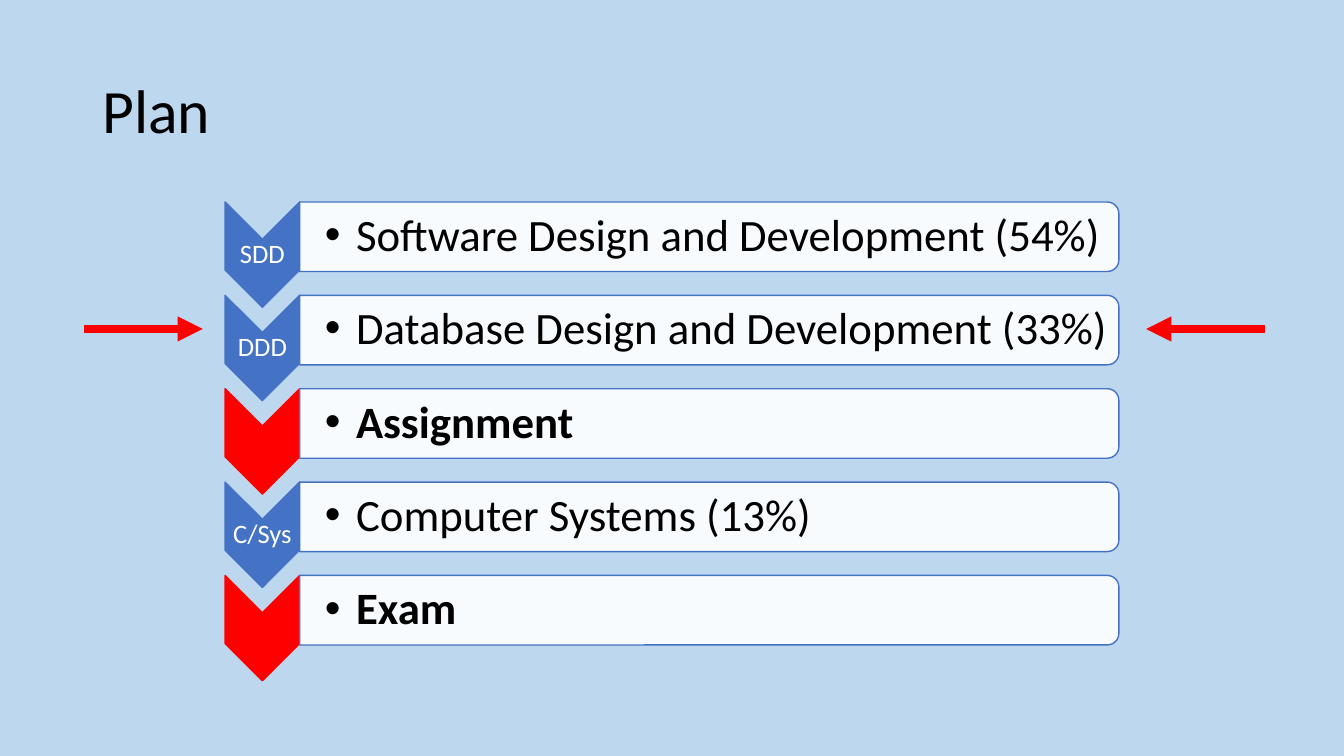
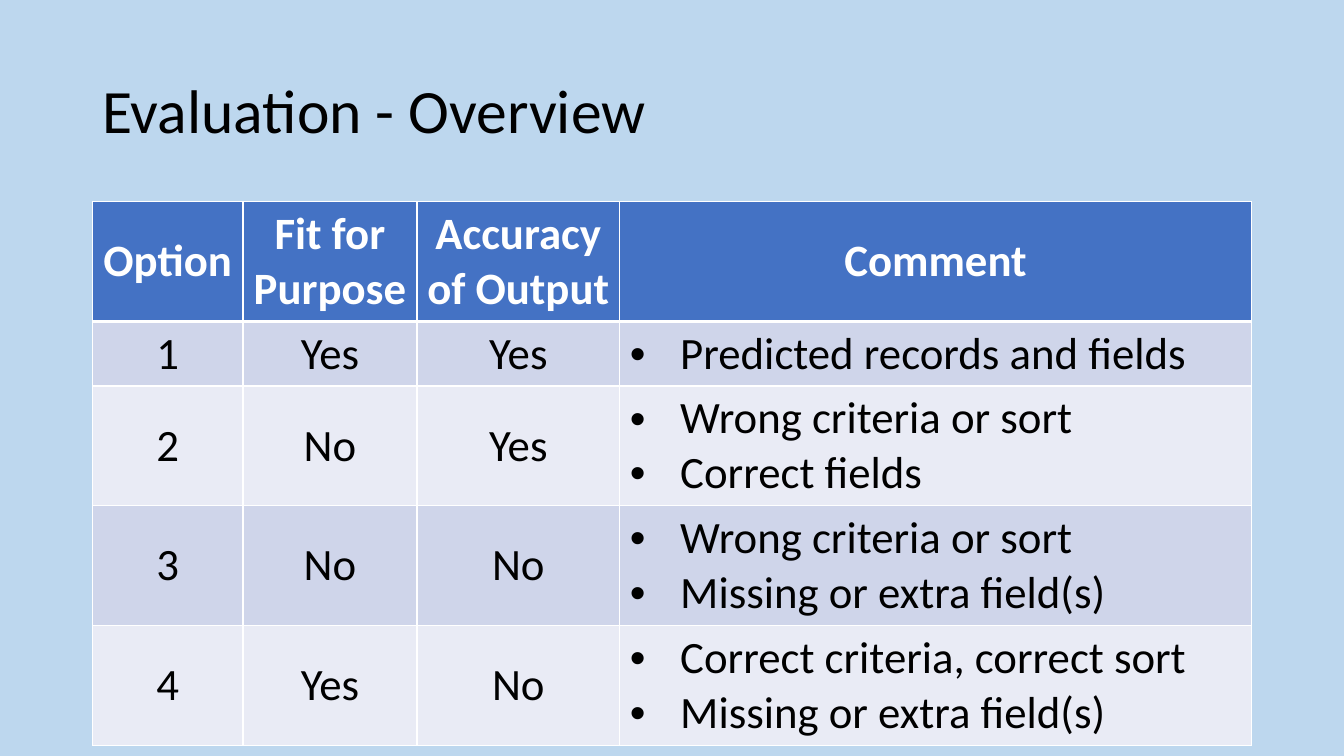
from lxml.etree import SubElement
from pptx import Presentation
from pptx.dml.color import RGBColor
from pptx.enum.shapes import MSO_CONNECTOR, MSO_SHAPE as Shape
from pptx.enum.text import MSO_ANCHOR as Anchor, PP_ALIGN as Align
from pptx.oxml import parse_xml
from pptx.oxml.ns import nsdecls, qn
from pptx.util import Emu, Inches, Pt

COLS, ROWS = 160, 90
UNIT = Inches(7.5) / ROWS
FONT = "Calibri"
SKY = RGBColor(0xBD, 0xD7, 0xEE)
BLUE = RGBColor(0x44, 0x72, 0xC4)
RED = RGBColor(0xFF, 0x00, 0x00)
WHITE = RGBColor(0xFF, 0xFF, 0xFF)
BLACK = RGBColor(0x00, 0x00, 0x00)
BANDS = (RGBColor(0xCF, 0xD5, 0xEA), RGBColor(0xE9, 0xEB, 0xF5))

TITLE_BOX = (11, 4.8, 138, 17.4)
PLAN_BOX = (26.8, 24.05, 106.4, 57)
TABLE_BOX = (11, 24, 138, 64.76)

TITLE = dict(size=Pt(44), color=BLACK)
LABEL = dict(size=Pt(19), color=WHITE)
BODY = dict(size=Pt(32), color=BLACK)
STRONG = dict(BODY, bold=True)
HEADER = dict(STRONG, color=WHITE)

STAGES = [
    ("SDD", "Software Design and Development (54%)"),
    ("DDD", "Database Design and Development (33%)"),
    (None, "Assignment"),
    ("C/Sys", "Computer Systems (13%)"),
    (None, "Exam"),
]
HEADINGS = ("Option", "Fit for Purpose", "Accuracy of Output", "Comment")
OPTIONS = [
    ("1", "Yes", "Yes", ["Predicted records and fields"]),
    ("2", "No", "Yes", ["Wrong criteria or sort", "Correct fields"]),
    ("3", "No", "No", ["Wrong criteria or sort", "Missing or extra field(s)"]),
    ("4", "Yes", "No", ["Correct criteria, correct sort", "Missing or extra field(s)"]),
]
COLUMN_SHARES = (0.13, 0.15, 0.175, 0.545)
TALL_ROW, SHORT_ROW = 14.27, 7.68


def grid(*units):
    return [Emu(round(u * UNIT)) for u in units]


def write(tf, lines, style, align=Align.LEFT, spacing=None, indent=None):
    for i, line in enumerate(lines):
        p = tf.paragraphs[0] if i == 0 else tf.add_paragraph()
        p.alignment = align
        if spacing:
            p.line_spacing = spacing
        if indent:
            pPr = p._p.get_or_add_pPr()
            pPr.set("marL", str(indent))
            pPr.set("indent", str(-indent))
            SubElement(pPr, qn("a:buFont"), typeface="Arial")
            SubElement(pPr, qn("a:buChar"), char="•")
        r = p.add_run()
        r.text = line
        r.font.name = FONT
        for name, value in style.items():
            if name == "color":
                r.font.color.rgb = value
            else:
                setattr(r.font, name, value)


def add_text(slide, box, text, style, insets=None, **paragraph):
    tf = slide.shapes.add_textbox(*grid(*box)).text_frame
    tf.word_wrap = True
    tf.vertical_anchor = Anchor.MIDDLE
    if insets:
        for side, value in zip(("left", "top", "right", "bottom"), insets):
            setattr(tf, f"margin_{side}", Inches(value))
    write(tf, [text], style, spacing=0.9, **paragraph)


def add_turned(slide, kind, box, fill, line):
    x, y, w, h = box
    turned = (x + (w - h) / 2, y + (h - w) / 2, h, w)
    s = slide.shapes.add_shape(kind, *grid(*turned))
    s.rotation = 90
    s.shadow.inherit = False
    s.fill.solid()
    s.fill.fore_color.rgb = fill
    s.line.color.rgb = line
    s.line.width = Pt(1)
    return s


def add_stage(slide, box, label, text):
    x, y, w, h = box
    mark_w = w / 12
    mark = (x, y, mark_w, h)
    panel = (x + mark_w, y, w - mark_w, h * 0.66)
    color = BLUE if label else RED
    add_turned(slide, Shape.CHEVRON, mark, color, color)
    if label:
        add_text(slide, mark, label, LABEL, [0.01] * 4, align=Align.CENTER)
    s = add_turned(slide, Shape.ROUND_2_SAME_RECTANGLE, panel, WHITE, BLUE)
    tint = next(s.element.spPr.iter(qn("a:srgbClr")))
    SubElement(tint, qn("a:alpha"), val="90000")
    add_text(slide, panel, text, BODY if label else STRONG,
             (0.25, 0.02, 0.02, 0.02), indent=Inches(0.31))


def add_arrow(slide, start, end, y):
    c = slide.shapes.add_connector(MSO_CONNECTOR.STRAIGHT, *grid(start, y, end, y))
    c.line.color.rgb = RED
    c.line.width = Pt(6)
    SubElement(c.line._get_or_add_ln(), qn("a:tailEnd"), type="triangle")
    SubElement(c.element.spPr, qn("a:effectLst"))


def add_stages(slide, box, current):
    x, y, w, h = box
    mark_h = h * 0.22
    pitch = (h - mark_h) / (len(STAGES) - 1)
    for i, stage in enumerate(STAGES):
        add_stage(slide, (x, y + i * pitch, w, mark_h), *stage)
    middle = y + current * pitch + 4
    start, end = 10, 24.15
    for left, right in ((start, end), (COLS + 0.6 - start, COLS + 0.6 - end)):
        add_arrow(slide, left, right, middle)


def set_borders(cell, widths):
    tcPr = cell._tc.get_or_add_tcPr()
    for i, (side, width) in enumerate(zip("LRTB", widths)):
        tcPr.insert(i, parse_xml(
            f'<a:ln{side} {nsdecls("a")} w="{Pt(width)}"><a:solidFill>'
            f'<a:srgbClr val="{WHITE}"/></a:solidFill></a:ln{side}>'))


def add_options(slide, box):
    rows = [HEADINGS, *OPTIONS]
    table = slide.shapes.add_table(len(rows), len(HEADINGS), *grid(*box)).table
    for column, share in zip(table.columns, COLUMN_SHARES):
        column.width, = grid(box[2] * share)
    for i, row in enumerate(rows):
        short = i > 0 and len(row[-1]) == 1
        table.rows[i].height, = grid(SHORT_ROW if short else TALL_ROW)
        for j, value in enumerate(row):
            cell = table.cell(i, j)
            cell.vertical_anchor = Anchor.MIDDLE
            cell.fill.solid()
            cell.fill.fore_color.rgb = BANDS[(i - 1) % 2] if i else BLUE
            set_borders(cell, (1, 1, 3 if i == 1 else 1, 1 if i else 3))
            style = BODY if i else HEADER
            if isinstance(value, list):
                write(cell.text_frame, value, style, indent=Inches(0.5))
            else:
                write(cell.text_frame, [value], style, align=Align.CENTER)


def add_slide(prs, title):
    slide = prs.slides.add_slide(prs.slide_layouts[6])
    add_text(slide, TITLE_BOX, title, TITLE)
    return slide


def main():
    prs = Presentation()
    prs.slide_width, prs.slide_height = grid(COLS, ROWS)
    background = prs.slide_master.background.fill
    background.solid()
    background.fore_color.rgb = SKY
    add_stages(add_slide(prs, "Plan"), PLAN_BOX, current=1)
    add_options(add_slide(prs, "Evaluation - Overview"), TABLE_BOX)
    prs.save("out.pptx")


if __name__ == "__main__":
    main()
